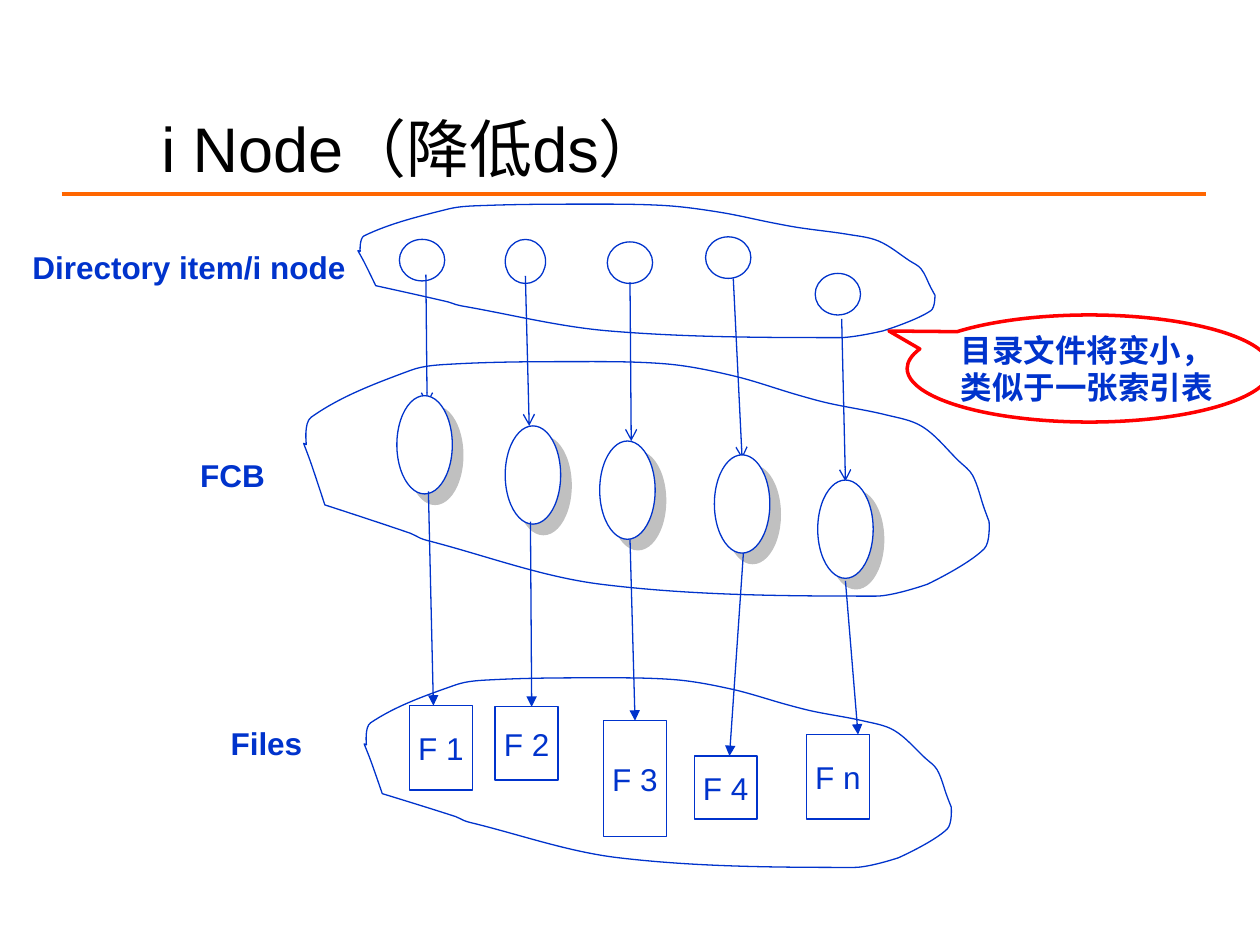
from itertools import pairwise
from lxml import etree
from pptx import Presentation
from pptx import util as u
from pptx.dml import color as dml
from pptx.enum import shapes, text
from pptx.oxml import ns

CELL = u.Inches(0.1)
BLUE, WHITE = "0033CC", "FFFFFF"
KIND = shapes.MSO_SHAPE
EDGE = [
    (0.4, 35), (1.1, 23.5), (15.6, 3.7), (22, 1), (38.6, 0), (53, 1),
    (62.7, 6), (72, 14), (76.5, 17.5), (85, 22.5), (90.3, 27.5), (95.6, 42),
    (97.6, 48), (99.3, 62), (100, 67.5), (99.3, 79), (91, 94), (83.5, 99),
    (43.4, 94), (18, 75.5), (17, 74.5), (15.6, 72.5), (3.1, 60.5), (1.1, 43),
    (0, 34.5),
]
SHARP = {(0.4, 35), (100, 67.5), (91, 94), (3.1, 60.5), (0, 34.5)}


def grid(*cells):
    return [round(cell * CELL) for cell in cells]


def tint(code):
    return dml.RGBColor.from_string(code)


def put(thing, vals):
    for name, val in vals.items():
        setattr(thing, name, val)


def node(home, tag, **vals):
    return etree.SubElement(home, ns.qn(tag), {k: str(v) for k, v in vals.items()})


def ink(shape, code, width):
    shape.line.color.rgb = tint(code)
    shape.line.width = u.Pt(width)


def write(shape, lines, size=18, code=BLUE, bold=False, align="CENTER", anchor="MIDDLE", wrap=False, pad=None):
    frame = shape.text_frame
    put(frame, {
        "word_wrap": wrap,
        "auto_size": text.MSO_AUTO_SIZE.NONE,
        "vertical_anchor": text.MSO_ANCHOR[anchor],
    })
    if pad is not None:
        put(frame, {f"margin_{side}": pad for side in ("left", "top", "right", "bottom")})
    frame.text = "\n".join(lines)
    for para in frame.paragraphs:
        para.alignment = text.PP_ALIGN[align]
        put(para.font, {"size": u.Pt(size), "name": "Arial", "bold": bold})
        para.font.color.rgb = tint(code)


def draw(page, kind, box, code=BLUE, width=0.75):
    shape = page.shapes.add_shape(kind, *grid(*box))
    shape.shadow.inherit = False
    shape.fill.solid()
    shape.fill.fore_color.rgb = tint(WHITE)
    ink(shape, code, width)
    return shape


def link(page, ends, code=BLUE, width=0.75, head=None):
    line = page.shapes.add_connector(shapes.MSO_CONNECTOR.STRAIGHT, *grid(*ends))
    ink(line, code, width)
    props = line.element.spPr
    if head:
        node(props.find(ns.qn("a:ln")), "a:tailEnd", type=head)
    node(props, "a:effectLst")
    return line


def bend(shape, spots):
    turns = []
    for i, point in enumerate(EDGE):
        span = spots[i + 1] - spots[i - 1 if i else -2]
        turns.append(0 if point in SHARP else span / abs(span))
    turns.append(turns[0])
    sides = list(shape.element.iter(ns.qn("a:lnTo")))
    base = complex(shape.left, shape.top)
    for side, ((a, s), (b, t)) in zip(sides, pairwise(zip(spots, turns))):
        reach = abs(b - a) / 3
        arc = etree.Element(ns.qn("a:cubicBezTo"))
        for spot in (a + s * reach, b - t * reach, b):
            spot -= base
            node(arc, "a:pt", x=round(spot.real), y=round(spot.imag))
        side.getparent().replace(side, arc)


def cloud(page, box):
    x, y, w, h = box
    spots = [grid(x + w * p / 100, y + h * q / 100) for p, q in EDGE + EDGE[:1]]
    pen = page.shapes.build_freeform(*spots[0])
    pen.add_line_segments(spots[1:], close=True)
    shape = pen.convert_to_shape()
    shape.shadow.inherit = False
    shape.fill.background()
    ink(shape, BLUE, 0.75)
    bend(shape, [complex(*spot) for spot in spots])


def group(page, box, kind, items):
    cloud(page, box)
    return [draw(page, kind, (box[0] + x, box[1] + y, w, h)) for x, y, w, h in items]


def label(page, box, words):
    write(page.shapes.add_textbox(*grid(*box)), [words], bold=True)


def nodes(page, box):
    group(page, box, KIND.OVAL, [
        (3.3, 2.8, 3.6, 3.3), (11.7, 2.8, 3.2, 3.5), (19.8, 3, 3.6, 3.3),
        (27.6, 2.6, 3.6, 3.3), (36.3, 5.5, 3.6, 3.3),
    ])
    for ends in [
        (33.8, 21.8, 33.9, 32.1), (41.7, 21.9, 42, 33.8), (50, 22.4, 50.1, 35),
        (58.2, 22.1, 58.9, 36.4), (66.8, 25.3, 67.1, 38.2),
    ]:
        link(page, ends, head="arrow")


def blocks(page, box):
    spots = [(7.4, 2.7), (16, 5.1), (23.5, 6.3), (32.6, 7.4), (40.8, 9.4)]
    for oval in group(page, box, KIND.OVAL, [(x, y, 4.4, 7.8) for x, y in spots]):
        home = oval.element.spPr.find(ns.qn("a:effectLst"))
        cast = node(home, "a:outerShdw", dist=u.Pt(8.5), dir=45 * 60000, algn="ctr", rotWithShape=0)
        node(cast, "a:srgbClr", val="C0C0C0")


def files(page, box):
    tiles = group(page, box, KIND.RECTANGLE, [
        (3.6, 2.2, 5, 6.7), (10.4, 2.3, 5, 5.8), (19, 3.4, 5, 9.2),
        (26.2, 6.2, 5, 5), (35.1, 4.5, 5, 6.7),
    ])
    ends = [
        (34, 39, 34.4, 56), (42.1, 41.4, 42.2, 56.1), (50, 42.8, 50.4, 56.9),
        (59, 43.9, 57.9, 60), (67.1, 46.1, 68.1, 58.3),
    ]
    for tile, name, end in zip(tiles, "1234n", ends):
        write(tile, [f"F {name}"])
        line = link(page, end, head="triangle")
        if abs(tile.left + tile.width / 2 - line.end_x) < CELL / 5:
            line.end_connect(tile, 0)


def title(page, box):
    head = page.shapes.title
    put(head, dict(zip(("left", "top", "width", "height"), grid(*box))))
    write(head, ["i Node（降低ds）"], size=36, code="000000", align="LEFT", wrap=True)
    link(page, (4.9, 15.4, 95.7, 15.4), "FF6600", 2.25)


def note(page, box):
    shape = draw(page, KIND.OVAL_CALLOUT, box, "FF0000", 2)
    shape.adjustments[0], shape.adjustments[1] = -0.55, -0.35
    write(shape, ["目录文件将变小，", "类似于一张索引表"], bold=True,
          align="LEFT", anchor="TOP", wrap=True, pad=0)


def main():
    deck = Presentation()
    put(deck, {"slide_width": 100 * CELL, "slide_height": 75 * CELL})
    page = deck.slides.add_slide(deck.slide_layouts[5])
    title(page, (11.8, 9.2, 88.3, 5))
    nodes(page, (28.4, 16.2, 45.8, 10.7))
    blocks(page, (24.1, 28.7, 54.4, 18.8))
    files(page, (28.9, 53.8, 46.6, 15.2))
    label(page, (1.6, 19.2, 26.8, 4), "Directory item/i node")
    label(page, (14.9, 35.7, 7.1, 4), "FCB")
    label(page, (17.3, 57, 7.7, 4), "Files")
    note(page, (72, 25, 28.9, 8.5))
    deck.save("out.pptx")


if __name__ == "__main__":
    main()
